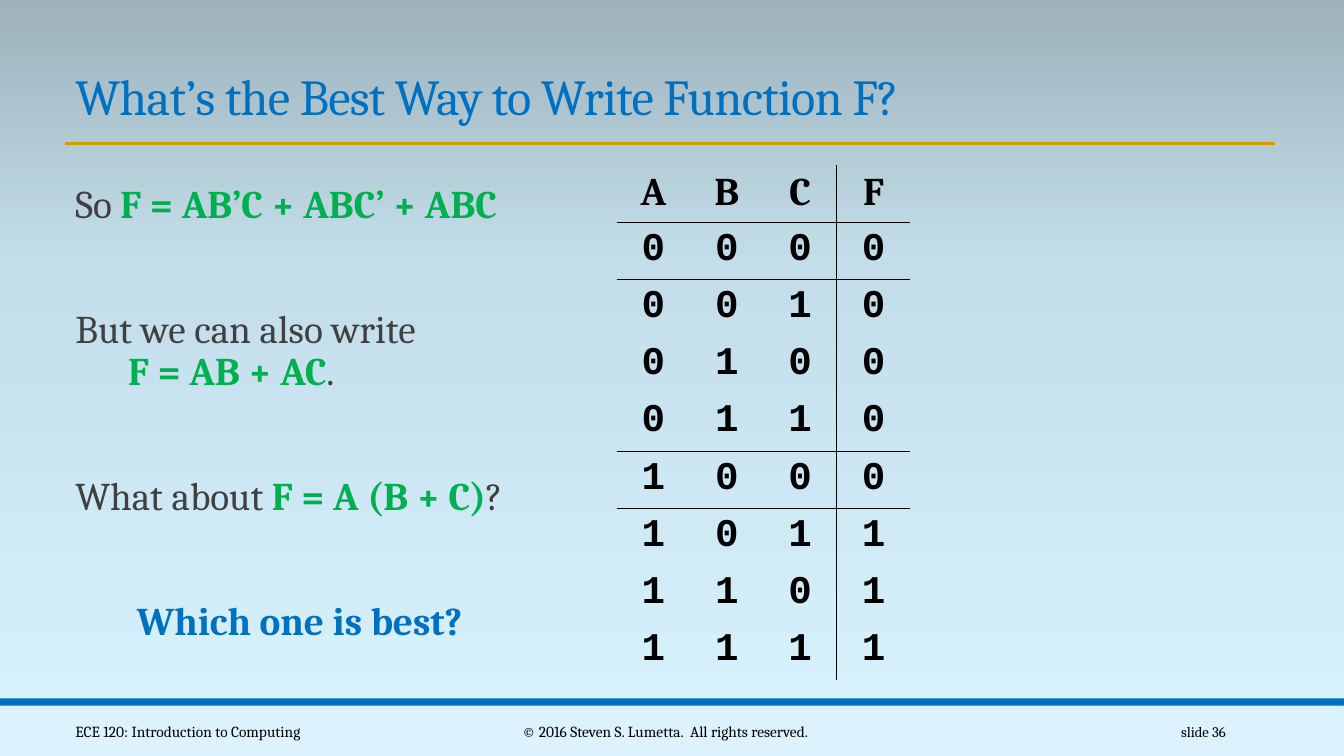
"""Build the slide comparing ways to write the Boolean function F."""
from copy import deepcopy
from itertools import product

from pptx import Presentation
from pptx.dml.color import RGBColor
from pptx.enum.shapes import MSO_CONNECTOR, MSO_SHAPE
from pptx.enum.text import MSO_ANCHOR, PP_ALIGN
from pptx.oxml import parse_xml
from pptx.oxml.ns import nsdecls, qn
from pptx.util import Cm, Pt

STRAIGHT = MSO_CONNECTOR.STRAIGHT
RECTANGLE = MSO_SHAPE.RECTANGLE
LEFT, CENTER, RIGHT = PP_ALIGN.LEFT, PP_ALIGN.CENTER, PP_ALIGN.RIGHT
MIDDLE, BOTTOM = MSO_ANCHOR.MIDDLE, MSO_ANCHOR.BOTTOM
NO_TABLE_STYLE = "{2D5ABB26-0587-4C30-8999-92F81FD0307C}"

COLORS = {
    "blue": "0070C0",
    "green": "00B050",
    "gray": "404040",
    "black": "000000",
    "gold": "D09E00",
    "footer": "DCF3FD",
    "sky_bottom": "DAF4FF",
    "sky_middle": "C3DEEA",
    "sky_top": "9DB2BA",
}


def rgb(name):
    return RGBColor.from_string(COLORS[name])


def add_text(paragraph, text, size=28, color="black", bold=False, font="Cambria", spacing=0):
    run = paragraph.add_run()
    run.text = text
    run.font.size = Pt(size)
    run.font.name = font
    run.font.bold = bold
    run.font.color.rgb = rgb(color)
    if spacing:
        run.font._element.set("spc", str(spacing))


prs = Presentation()
prs.slide_width, prs.slide_height = Cm(33.87), Cm(19.05)
slide = prs.slides.add_slide(prs.slide_layouts[6])
shapes = slide.shapes

sky = slide.background.fill
sky.gradient()
sky.gradient_angle = 90
stop_list = slide.element.find(".//" + qn("a:gsLst"))
stop_list.insert(1, deepcopy(stop_list[0]))
sky_stops = [("sky_bottom", 0), ("sky_middle", 0.65), ("sky_top", 1)]
for stop, (color, position) in zip(sky.gradient_stops, sky_stops):
    stop.color.rgb = rgb(color)
    stop.position = position

for left, top, height, color in [(-0.15, 17.78, 1.27, "footer"), (0, 17.6, 0.18, "blue")]:
    band = shapes.add_shape(RECTANGLE, Cm(left), Cm(top), Cm(33.87), Cm(height))
    band.shadow.inherit = False
    band.fill.solid()
    band.fill.fore_color.rgb = rgb(color)
    band.line.fill.background()

title_rule = shapes.add_connector(STRAIGHT, Cm(1.65), Cm(3.61), Cm(32.13), Cm(3.61))
title_rule.line.color.rgb = rgb("gold")
title_rule.line.width = Pt(2)
title_rule._element.spPr.append(parse_xml(f"<a:effectLst {nsdecls('a')}/>"))

title = shapes.add_textbox(Cm(1.65), Cm(1.5), Cm(30.5), Cm(1.8)).text_frame
title.word_wrap = True
title.vertical_anchor = BOTTOM
title.paragraphs[0].line_spacing = 0.85
add_text(title.paragraphs[0], "What’s the Best Way to Write Function F?",
         size=36, color="blue", spacing=-50)

discussion = shapes.add_textbox(Cm(1.65), Cm(4.52), Cm(21.63), Cm(11.79)).text_frame
discussion.word_wrap = True
discussion.margin_left = discussion.margin_right = 0
statements = [
    (0.25, 0, [("So ", "gray"), ("F = AB’C + ABC’ + ABC", "green")]),
    (0.25, 59, [("But we can also write", "gray")]),
    (1.58, 0, [("F = AB + AC", "green"), (".", "gray")]),
    (0.25, 59, [("What about ", "gray"), ("F = A (B + C)", "green"), ("?", "gray")]),
    (1.8, 59, [("Which one is best?", "blue")]),
]
for number, (indent, space_before, parts) in enumerate(statements):
    statement = discussion.add_paragraph() if number else discussion.paragraphs[0]
    statement._p.get_or_add_pPr().set("marL", str(Cm(indent)))
    statement.line_spacing = 0.9
    statement.space_before = Pt(space_before)
    for text, color in parts:
        add_text(statement, text, color=color, bold=color != "gray")

footers = [
    (1.65, 8.26, LEFT, 11, "ECE 120: Introduction to Computing"),
    (10.24, 13.06, CENTER, 11, "© 2016 Steven S. Lumetta.  All rights reserved."),
    (27.51, 3.63, RIGHT, 10.5, "slide 36"),
]
for left, width, alignment, size, text in footers:
    footer = shapes.add_textbox(Cm(left), Cm(17.93), Cm(width), Cm(1.02)).text_frame
    footer.word_wrap = True
    footer.vertical_anchor = MIDDLE
    footer.paragraphs[0].alignment = alignment
    add_text(footer.paragraphs[0], text, size=size)

truth_rows = [(a, b, c, int(a and (b or c))) for a, b, c in product((0, 1), repeat=3)]
table_rows = ["ABCF", *truth_rows]
truth_table = shapes.add_table(9, 4, Cm(15.54), Cm(4.17), Cm(7.4), Cm(12.15)).table
truth_table.first_row = truth_table.horz_banding = False
truth_table._tbl.tblPr.find(qn("a:tableStyleId")).text = NO_TABLE_STYLE
for column in truth_table.columns:
    column.width = Cm(1.85)

for row, values in enumerate(table_rows):
    truth_table.rows[row].height = Cm(1.37 if row else 1.19)
    for col, value in enumerate(values):
        cell = truth_table.cell(row, col)
        cell.fill.background()
        paragraph = cell.text_frame.paragraphs[0]
        paragraph.alignment = CENTER
        add_text(paragraph, str(value), bold=True, font="Courier New" if row else "Cambria")
        borders = {"lnL": col == 3, "lnR": col == 2, "lnT": row in (1, 5), "lnB": row in (0, 4)}
        sides = [side for side, drawn in borders.items() if drawn]
        for position, side in enumerate(sides):
            cell._tc.get_or_add_tcPr().insert(position, parse_xml(
                f'<a:{side} {nsdecls("a")} w="{Pt(1)}"><a:solidFill>'
                f'<a:srgbClr val="{COLORS["black"]}"/></a:solidFill></a:{side}>'))

prs.save("out.pptx")
